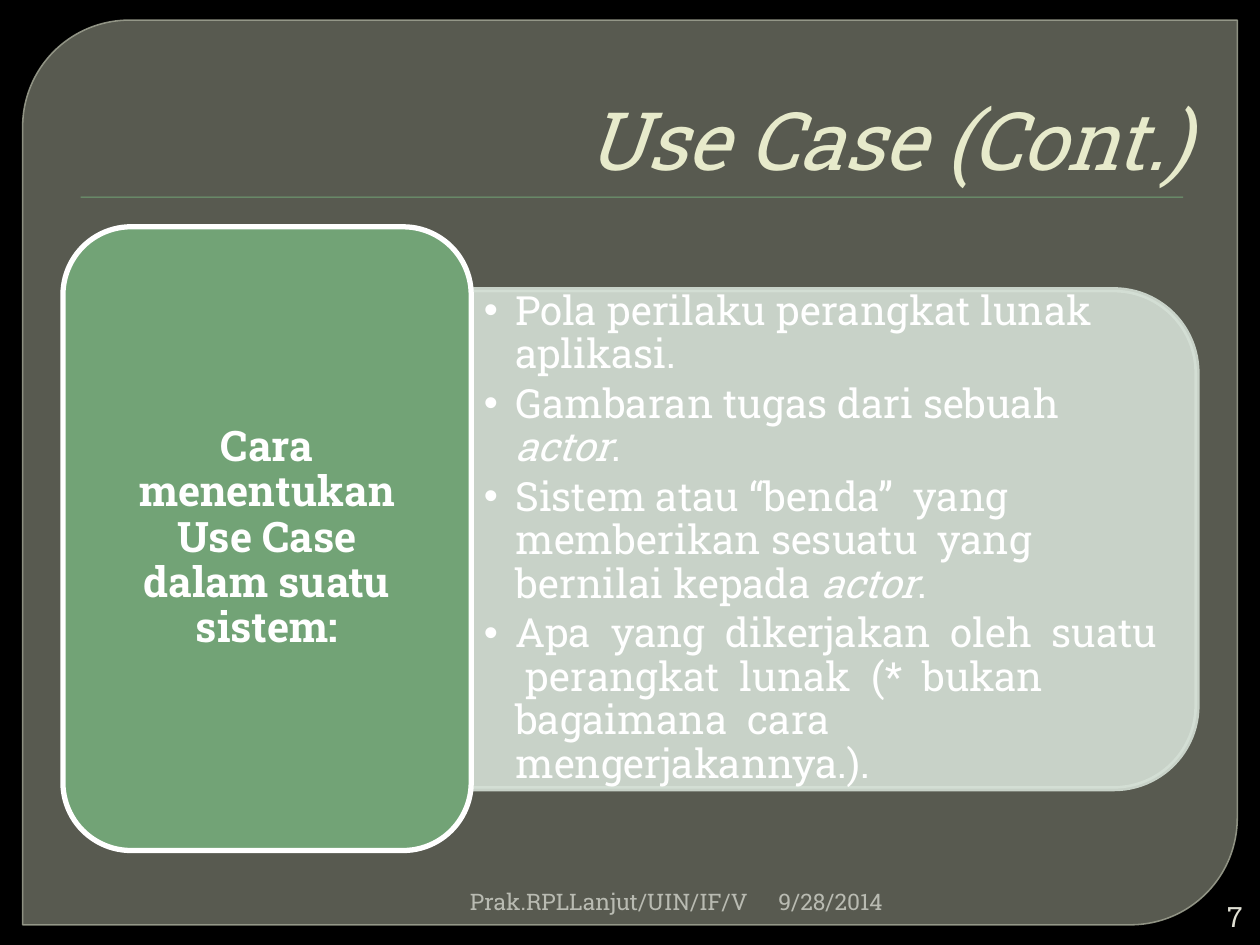
"""Build the use case slide with a label card and a bullet panel."""
from lxml import etree
from pptx import Presentation, util as u
from pptx.dml.color import RGBColor
from pptx.enum import shapes, text
from pptx.oxml.ns import qn

FONT = "Roboto Slab"
WHITE, GREEN, PALE, GREY = "FFFFFF", "72A376", "D5E0D6", "B9BBB2"
KIND, SIDE, ANCHOR = shapes.MSO_SHAPE, text.PP_ALIGN, text.MSO_ANCHOR

TITLE = "Use Case (Cont.)"
LABEL = "Cara menentukan Use Case dalam suatu sistem:"
POINTS = [
    [("Pola perilaku perangkat lunak aplikasi.", False)],
    [("Gambaran tugas dari sebuah ", False), ("actor", True), (".", False)],
    [("Sistem atau “benda”  yang memberikan sesuatu  yang bernilai kepada ", False),
     ("actor", True), (".", False)],
    [("Apa  yang  dikerjakan  oleh  suatu  perangkat  lunak  (*  bukan  "
      "bagaimana  cara mengerjakannya.).", False)],
]
FOOT = [
    ("9/28/2014", (6.08, 7, 3.28, 0.3), dict(size=13, color=GREY)),
    ("Prak.RPLLanjut/UIN/IF/V", (1.42, 7, 4.61, 0.3),
     dict(size=13, color=GREY, align=SIDE.RIGHT)),
    ("7", (9.45, 7.12, 0.51, 0.3),
     dict(size=16, color="E0E0D4", align=SIDE.RIGHT, anchor=ANCHOR.MIDDLE)),
]


def paint(fmt, color, alpha=100):
    """Apply a solid colour with an opacity in percent."""
    fmt.solid()
    fmt.fore_color.rgb = RGBColor.from_string(color)
    if alpha < 100:
        node = fmt._xPr.find(".//" + qn("a:srgbClr"))
        etree.SubElement(node, qn("a:alpha"), val=str(alpha * 1000))


def place(item, box):
    """Move an item to a box in inches."""
    item.left, item.top, item.width, item.height = map(u.Inches, box)


def draw(kind, box, fill, alpha=100, line=None, width=3, clear=100):
    """Add a preset shape with its fill and outline."""
    item = slide.shapes.add_shape(kind, *map(u.Inches, box))
    item.shadow.inherit = False
    paint(item.fill, fill, alpha)
    if line:
        item.line.width = u.Pt(width)
        paint(item.line.fill, line, clear)
    else:
        item.line.fill.background()
    return item


def write(item, paras, size, color, align=SIDE.LEFT, anchor=ANCHOR.TOP, bold=False,
          inset=0.1, space=1.0, after=0, bullet=False):
    """Fill an item with paragraphs of (words, italic) runs."""
    frame = item.text_frame
    frame.word_wrap, frame.auto_size = True, text.MSO_AUTO_SIZE.NONE
    frame.vertical_anchor = anchor
    frame.margin_left = frame.margin_right = u.Inches(inset)
    frame.margin_top = frame.margin_bottom = u.Inches(0.05)
    for i, runs in enumerate(paras):
        para = frame.add_paragraph() if i else frame.paragraphs[0]
        para.alignment, para.line_spacing = align, space
        para.space_before, para.space_after = u.Pt(0), u.Pt(after)
        if bullet:
            props = para._p.get_or_add_pPr()
            props.set("marL", str(u.Inches(0.25)))
            props.set("indent", str(-u.Inches(0.25)))
            etree.SubElement(props, qn("a:buChar"), char="•")
        for words, slant in runs:
            run = para.add_run()
            run.text = words
            font = run.font
            font.name, font.size, font.bold, font.italic = FONT, u.Pt(size), bold, slant
            font.color.rgb = RGBColor.from_string(color)


deck = Presentation()
deck.slide_width, deck.slide_height = u.Inches(10), u.Inches(7.5)
slide = deck.slides.add_slide(deck.slide_layouts[1])
paint(slide.background.fill, "000000")
title, body = slide.placeholders

frame = draw(KIND.ROUND_2_DIAG_RECTANGLE, (0.18, 0.16, 9.64, 7.18), "888B7B", 65,
             "9DA090", 0.87, 88)
frame.adjustments[0] = 0.118
draw(KIND.RECTANGLE, (0.64, 1.56, 8.75, 0.01), GREEN)
panel = draw(KIND.ROUND_2_SAME_RECTANGLE, (4.64, 1.4, 3.96, 5.76), PALE, 90, PALE, 3, 90)
panel.rotation = 90
card = draw(KIND.ROUNDED_RECTANGLE, (0.5, 1.8, 3.24, 4.95), GREEN, line=WHITE)
write(card, [[(LABEL, False)]], 24, WHITE, SIDE.CENTER, ANCHOR.MIDDLE, True,
      inset=0.22, space=0.9)

for item, box in ((title, (0.5, 0.28, 9, 1.25)), (body, (3.74, 2.49, 5.57, 3.57))):
    place(item, box)
    slide.shapes._spTree.append(item._element)
write(title, [[(TITLE, True)]], 46, "E7EACB", SIDE.RIGHT, ANCHOR.BOTTOM, inset=0.05)
write(body, POINTS, 23, WHITE, anchor=ANCHOR.MIDDLE, space=0.9, after=3.5, bullet=True)

for words, box, style in FOOT:
    write(slide.shapes.add_textbox(*map(u.Inches, box)), [[(words, False)]], **style)

deck.save("out.pptx")
